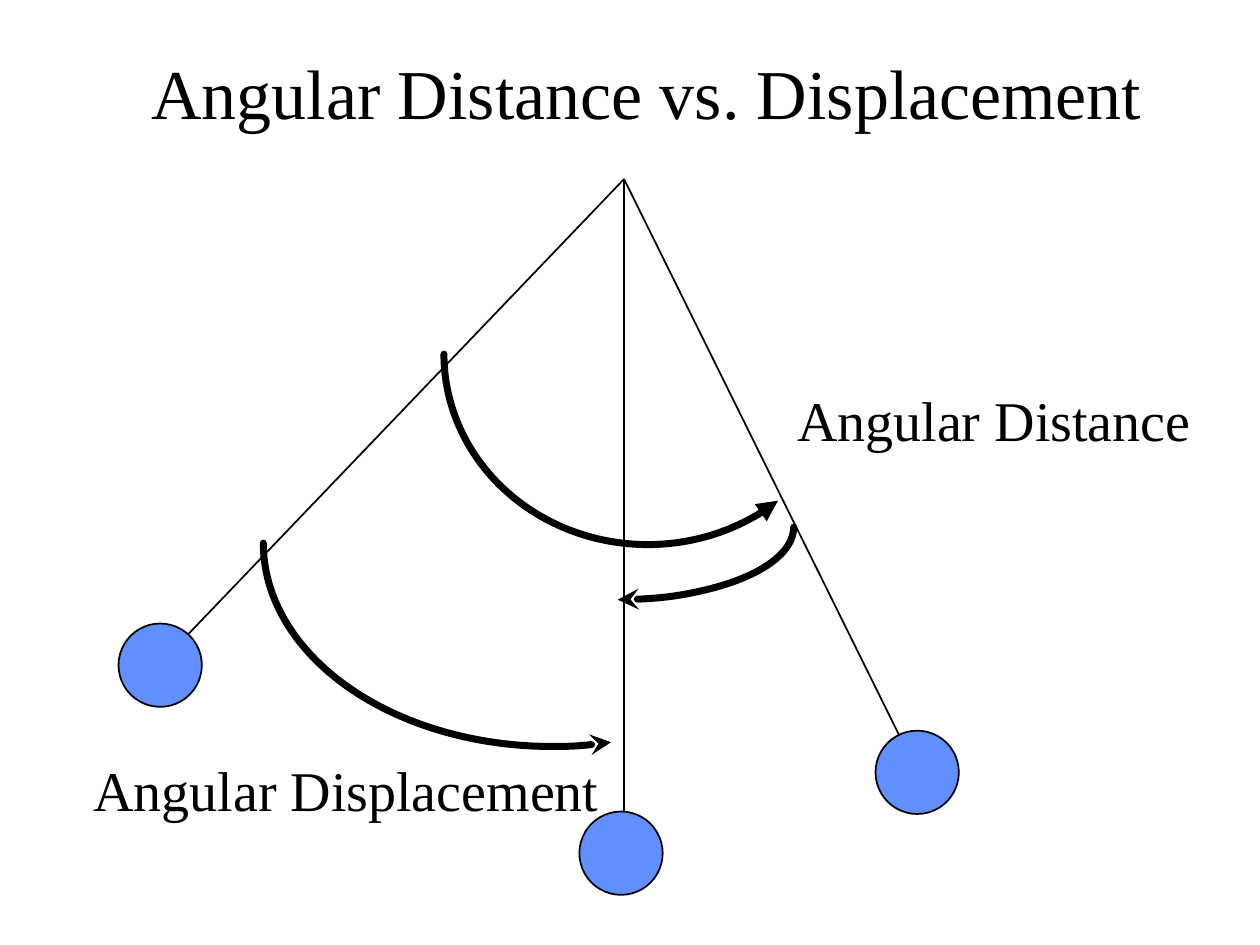
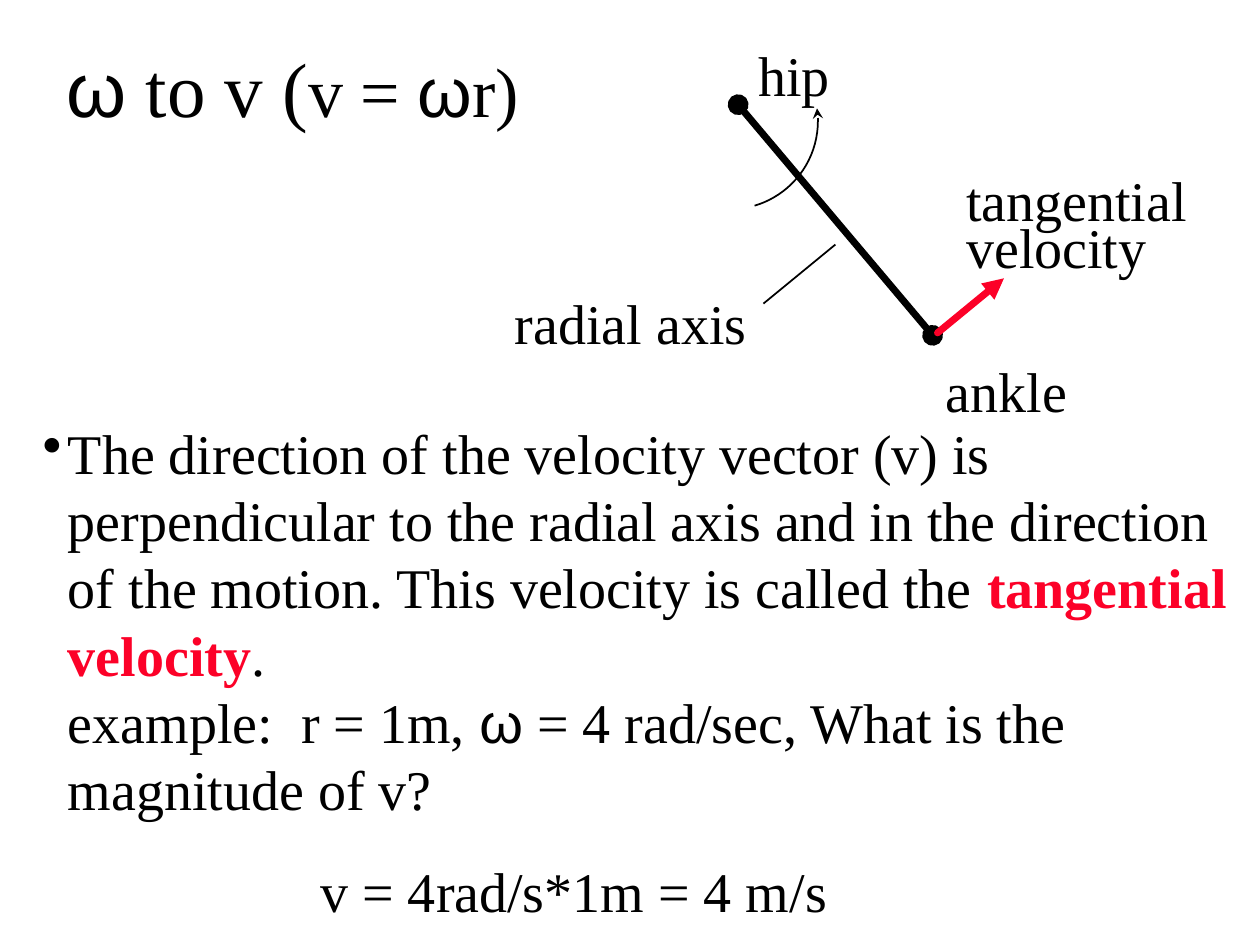
import pptx
import pptx.util
import pptx.dml.color
import pptx.enum.shapes
import pptx.enum.text
import pptx.oxml
import pptx.oxml.ns
from pptx.util import Cm

BLACK = pptx.dml.color.RGBColor(0x00, 0x00, 0x00)
WHITE = pptx.dml.color.RGBColor(0xFF, 0xFF, 0xFF)
BALL_BLUE = pptx.dml.color.RGBColor(0x61, 0x8F, 0xFD)
RED = pptx.dml.color.RGBColor(0xFC, 0x01, 0x28)

SERIF = "Times New Roman"
SANS = "Arial"
TITLE_SIZE = 40
BODY_SIZE = 32
LINE_HEIGHT = 1.2
THIN, THICK = 1, 4


def add_page(deck):
    page = deck.slides.add_slide(deck.slide_layouts[6])
    page.background.fill.solid()
    page.background.fill.fore_color.rgb = WHITE
    return page


def add_box(page, left, top, width, height, wrap=True):
    box = page.shapes.add_textbox(Cm(left), Cm(top), Cm(width), Cm(height))
    box.text_frame.word_wrap = wrap
    return box


def write_spans(para, spans, size=BODY_SIZE, spacing=1.0):
    """Fill a paragraph from (text, format) pairs; "\\n" stands for a line break."""
    for text, look in spans:
        if text == "\n":
            para.add_line_break()
            continue
        span = para.add_run()
        span.text = text
        span.font.name = look.get("font", SERIF)
        span.font.size = pptx.util.Pt(look.get("size", size))
        span.font.bold = look.get("bold", False)
        span.font.color.rgb = look.get("color", BLACK)
    para.line_spacing = pptx.util.Pt(round(size * LINE_HEIGHT * spacing, 1))


def add_title(page, left, spans, size=TITLE_SIZE, align=None):
    box = add_box(page, left, 0.25, 21.59, 3.18)
    box.text_frame.vertical_anchor = pptx.enum.text.MSO_ANCHOR.MIDDLE
    para = box.text_frame.paragraphs[0]
    para.alignment = align
    write_spans(para, spans, size)


def add_label(page, text, left, top, width):
    box = add_box(page, left, top, width, 1.6, wrap=False)
    box.text_frame.auto_size = pptx.enum.text.MSO_AUTO_SIZE.SHAPE_TO_FIT_TEXT
    write_spans(box.text_frame.paragraphs[0], [(text, {})])


def style_line(shape, weight, color=BLACK, head=None, tail=None):
    shape.line.color.rgb = color
    shape.line.width = pptx.util.Pt(weight)
    outline = shape.line._get_or_add_ln()
    if weight == THICK:
        outline.set("cap", "rnd")
    for tag, kind in (("a:headEnd", head), ("a:tailEnd", tail)):
        if kind:
            end = pptx.oxml.parse_xml(f"<{tag} {pptx.oxml.ns.nsdecls('a')}/>")
            end.set("type", kind)
            outline.append(end)


def add_line(page, start, finish, weight=THIN, **look):
    line = page.shapes.add_connector(
        pptx.enum.shapes.MSO_CONNECTOR.STRAIGHT, *map(Cm, start + finish))
    style_line(line, weight, **look)
    line._element.spPr.append(
        pptx.oxml.parse_xml(f"<a:effectLst {pptx.oxml.ns.nsdecls('a')}/>"))


def add_oval_shape(page, kind, center, radii):
    (x, y), (rx, ry) = center, radii
    shape = page.shapes.add_shape(
        kind, Cm(x - rx), Cm(y - ry), Cm(2 * rx), Cm(2 * ry))
    shape.shadow.inherit = False
    return shape


def add_arc(page, center, radii, start, finish, weight, **look):
    """Draw an arc clockwise between two angles in degrees, 0 pointing right."""
    arc = add_oval_shape(page, pptx.enum.shapes.MSO_SHAPE.ARC, center, radii)
    # Adjustments count 1/60000 degree in units of 100000.
    arc.adjustments[0] = start * 0.6
    arc.adjustments[1] = finish * 0.6
    arc.fill.background()
    style_line(arc, weight, **look)


def add_ball(page, center):
    ball = add_oval_shape(page, pptx.enum.shapes.MSO_SHAPE.OVAL, center, (0.84, 0.84))
    ball.fill.solid()
    ball.fill.fore_color.rgb = BALL_BLUE
    style_line(ball, THIN)


def add_bullet(para, indent):
    properties = para._p.get_or_add_pPr()
    properties.set("marL", str(Cm(indent)))
    properties.set("indent", str(-Cm(indent)))
    properties.append(pptx.oxml.parse_xml(
        f'<a:buChar {pptx.oxml.ns.nsdecls("a")} char="•"/>'))


def build_pendulum(deck):
    page = add_page(deck)
    pivot = (12.58, 3.61)
    for string_end in ((12.58, 16.46), (3.78, 12.8), (18.21, 14.99)):
        add_line(page, pivot, string_end)
    for center in ((3.23, 13.41), (12.52, 17.2), (18.49, 15.57)):
        add_ball(page, center)

    add_arc(page, (13.06, 7.14), (4.11, 3.84), 48.4, 180, THICK, head="triangle")
    add_arc(page, (12.43, 10.63), (3.57, 1.46), 0, 89, THICK, tail="stealth")
    add_arc(page, (11.13, 10.95), (5.82, 4.1), 73.5, 180, THICK, head="stealth")

    add_label(page, "Angular Distance", 15.82, 7.65, 8.46)
    add_label(page, "Angular Displacement", 1.63, 15.11, 10.72)
    add_title(page, 2.24, [("Angular Distance vs. Displacement", {})],
              align=pptx.enum.text.PP_ALIGN.CENTER)


def build_tangential_velocity(deck):
    page = add_page(deck)
    sans = {"font": SANS}
    body = add_box(page, 0.61, 8.31, 24.61, 8.94).text_frame
    statement = body.paragraphs[0]
    write_spans(statement, [
        ("The direction of the velocity vector (v) is perpendicular to the radial axis "
         "and in the direction of the motion. This velocity is called the ", {}),
        ("tangential velocity", {"color": RED, "bold": True}),
        (".", {}),
        ("\n", {}),
        ("example:  r = 1m, ", {}),
        ("ω", sans),
        (" = 4 rad/sec, What is the magnitude of v?", {}),
    ])
    statement.space_after = pptx.util.Pt(20)
    add_bullet(statement, 0.51)
    answer = body.add_paragraph()
    write_spans(answer, [("v = 4rad/s*1m = 4 m/s", {})])
    answer._p.get_or_add_pPr().set("marL", str(Cm(5.6)))

    big = {"size": 44}
    add_title(page, 1.09, [("ω", {**sans, **big}), (" to v (", big), ("v = ", {}),
                           ("ω", sans), ("r)", {})])

    add_line(page, (14.88, 2.11), (18.8, 6.76), THICK, head="oval", tail="oval")
    add_arc(page, (14.71, 2.44), (1.78, 1.78), 351.8, 73.6, THIN, head="stealth")
    add_line(page, (18.9, 6.71), (20.24, 5.61), THICK, color=RED, tail="triangle")
    add_line(page, (15.39, 6.12), (16.84, 4.93))

    add_label(page, "hip", 15.04, 0.69, 1.96)
    add_label(page, "ankle", 18.82, 7.06, 2.97)
    add_label(page, "radial axis", 10.13, 5.69, 5.18)
    velocity = add_box(page, 19.23, 3.61, 5.94, 2.16)
    write_spans(velocity.text_frame.paragraphs[0],
                [("tangential velocity", {})], spacing=0.7)


def main():
    deck = pptx.Presentation()
    deck.slide_width, deck.slide_height = Cm(25.4), Cm(19.05)
    build_pendulum(deck)
    build_tangential_velocity(deck)
    deck.save("out.pptx")


if __name__ == "__main__":
    main()
